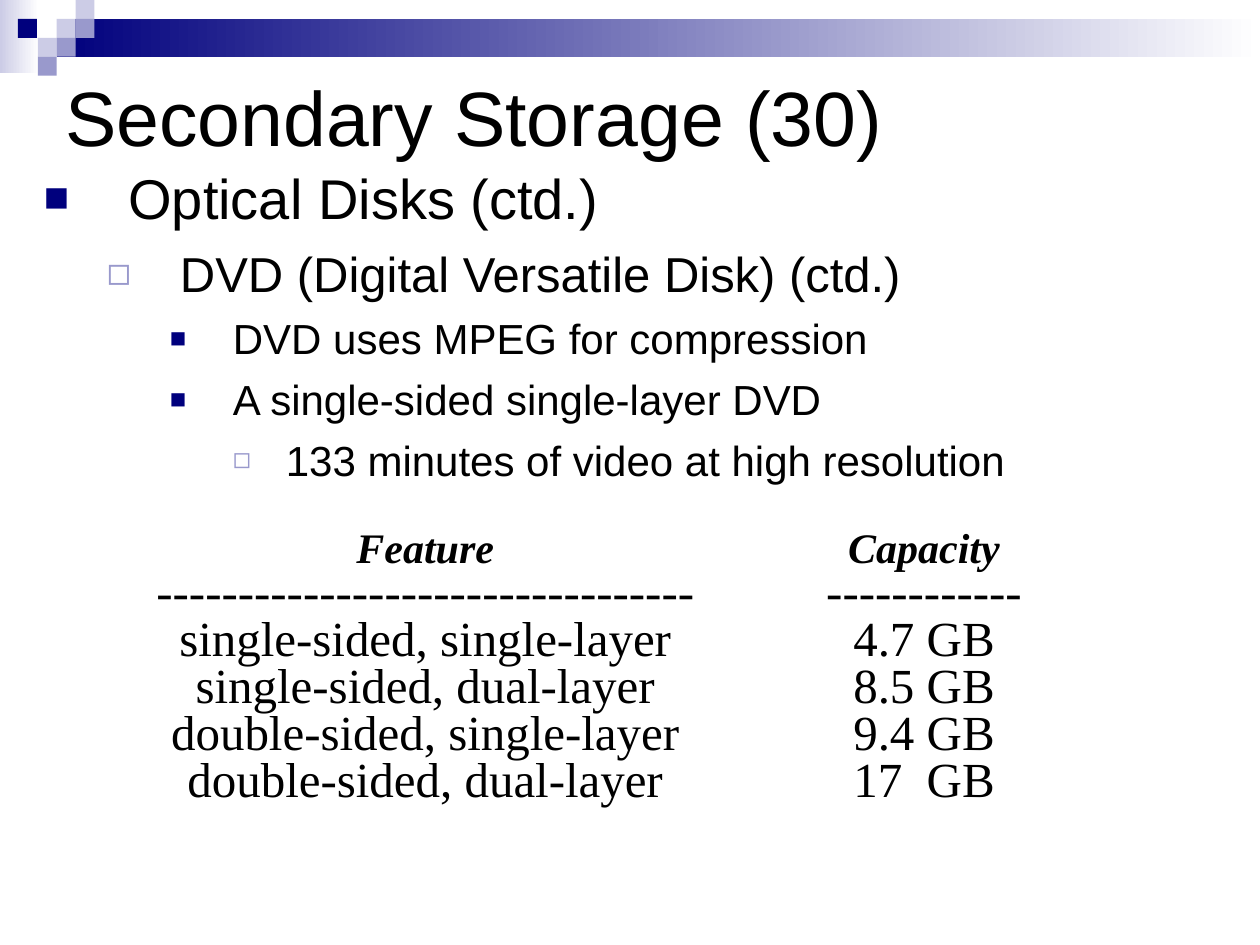
import pptx
import pptx.dml.color
import pptx.enum.shapes
import pptx.enum.text
import pptx.oxml
import pptx.oxml.ns
import pptx.util

NAVY, LAVENDER, PALE = "00007D", "9999CC", "CCCCE6"
WHITE, BLACK = "FFFFFF", "000000"
CELL = 1 / 12   # content grid, inches
TILE = 0.15     # header mosaic grid, inches


def colour(value):
    return pptx.dml.color.RGBColor.from_string(value)


def add_span(para, text, size=28, font="Arial", bold=False, italic=False):
    span = para.add_run()
    span.text = text
    span.font.name = font
    span.font.size = pptx.util.Pt(size)
    span.font.bold = bold
    span.font.italic = italic
    span.font.color.rgb = colour(BLACK)


def add_bullet(para, char, tint, percent, margin, indent):
    props = para._p.get_or_add_pPr()
    props.set("marL", str(pptx.util.Inches(margin)))
    props.set("indent", str(pptx.util.Inches(-indent)))
    space = pptx.oxml.ns.nsdecls("a")
    for xml in (
        f'<a:buClr {space}><a:srgbClr val="{tint}"/></a:buClr>',
        f'<a:buSzPct {space} val="{percent * 1000}"/>',
        f'<a:buFont {space} typeface="Arial"/>',
        f'<a:buChar {space} char="{char}"/>',
    ):
        props.append(pptx.oxml.parse_xml(xml))


class SlideBuilder:
    # char, colour, size %, left margin, hanging indent, space before, text size
    LEVELS = (
        ("■", NAVY, 75, 0.67, 0.67, 8, 32),
        ("◻", LAVENDER, 80, 1.08, 0.58, 7, 28),
        ("■", NAVY, 65, 1.5, 0.5, 6, 24),
        ("◻", LAVENDER, 70, 1.92, 0.42, 6, 24),
    )

    def __init__(self, deck):
        self.page = deck.slides.add_slide(deck.slide_layouts[5])

    def place(self, grid, unit=CELL):
        return [pptx.util.Inches(count * unit) for count in grid]

    def rectangle(self, grid, fill, unit=CELL, fade=None, line=None):
        box = self.page.shapes.add_shape(
            pptx.enum.shapes.MSO_SHAPE.RECTANGLE, *self.place(grid, unit))
        box.shadow.inherit = False
        if fade:
            box.fill.gradient()
            box.fill.gradient_angle = 0
            for stop, tint in zip(box.fill.gradient_stops, (fill, fade)):
                stop.color.rgb = colour(tint)
        else:
            box.fill.solid()
            box.fill.fore_color.rgb = colour(fill)
        if line:
            box.line.color.rgb = colour(line)
            box.line.width = pptx.util.Pt(3)
        else:
            box.line.fill.background()
        return box

    def title(self, text, grid):
        box = self.page.shapes.title
        box.left, box.top, box.width, box.height = self.place(grid)
        frame = box.text_frame
        frame.auto_size = pptx.enum.text.MSO_AUTO_SIZE.NONE
        frame.vertical_anchor = pptx.enum.text.MSO_ANCHOR.MIDDLE
        para = frame.paragraphs[0]
        para.alignment = pptx.enum.text.PP_ALIGN.LEFT
        add_span(para, text, size=44)

    def outline(self, items, grid):
        frame = self.page.shapes.add_textbox(*self.place(grid)).text_frame
        frame.word_wrap = True
        for index, (level, text) in enumerate(items):
            para = frame.add_paragraph() if index else frame.paragraphs[0]
            *bullet, before, size = self.LEVELS[level]
            para.level = level
            para.space_before = pptx.util.Pt(before)
            add_bullet(para, *bullet)
            add_span(para, text, size=size)

    def column(self, heading, dashes, values, grid, line=None):
        frame = self.rectangle(grid, WHITE, line=line).text_frame
        frame.word_wrap = True
        frame.vertical_anchor = pptx.enum.text.MSO_ANCHOR.TOP
        font = "Times New Roman"
        for index, text in enumerate(["-" * dashes, *values]):
            para = frame.add_paragraph() if index else frame.paragraphs[0]
            para.alignment = pptx.enum.text.PP_ALIGN.CENTER
            para.line_spacing = 0.8
            if index == 0:
                add_span(para, heading, size=24, font=font, bold=True, italic=True)
                para.add_line_break()
            add_span(para, text, font=font)


def main():
    deck = pptx.Presentation()
    deck.slide_width = pptx.util.Inches(10)
    deck.slide_height = pptx.util.Inches(7.5)
    slide = SlideBuilder(deck)

    # Header band and mosaic
    slide.rectangle((0, 0, 0.31, 0.58), PALE, unit=1, fade=WHITE)
    slide.rectangle((0.45, 0.15, 9.55, 0.3), NAVY, unit=1, fade=WHITE)
    for across, down, tint in (
        (3, 1, PALE), (4, 0, PALE), (4, 1, LAVENDER), (2, 2, PALE),
        (0.95, 1, NAVY), (3, 2, LAVENDER), (2, 3, LAVENDER),
    ):
        slide.rectangle((across, down, 1, 1), tint, unit=TILE)

    # Title and outline
    slide.title("Secondary Storage (30)", (5, 6, 101, 10))
    slide.outline([
        (0, "Optical Disks (ctd.)"),
        (1, "DVD (Digital Versatile Disk) (ctd.)"),
        (2, "DVD uses MPEG for compression"),
        (2, "A single-sided single-layer DVD"),
        (3, "133 minutes of video at high resolution"),
    ], (3, 15, 111, 73))

    # Capacity columns
    features = [f"{sides}-sided, {layers}-layer"
                for sides in ("single", "double") for layers in ("single", "dual")]
    slide.column("Feature", 33, features, (10, 50, 61, 27.5))
    slide.column("Capacity", 12, ["4.7 GB", "8.5 GB", "9.4 GB", "17  GB"],
                 (71, 50, 34, 27.5), line=WHITE)

    deck.save("out.pptx")


if __name__ == "__main__":
    main()
